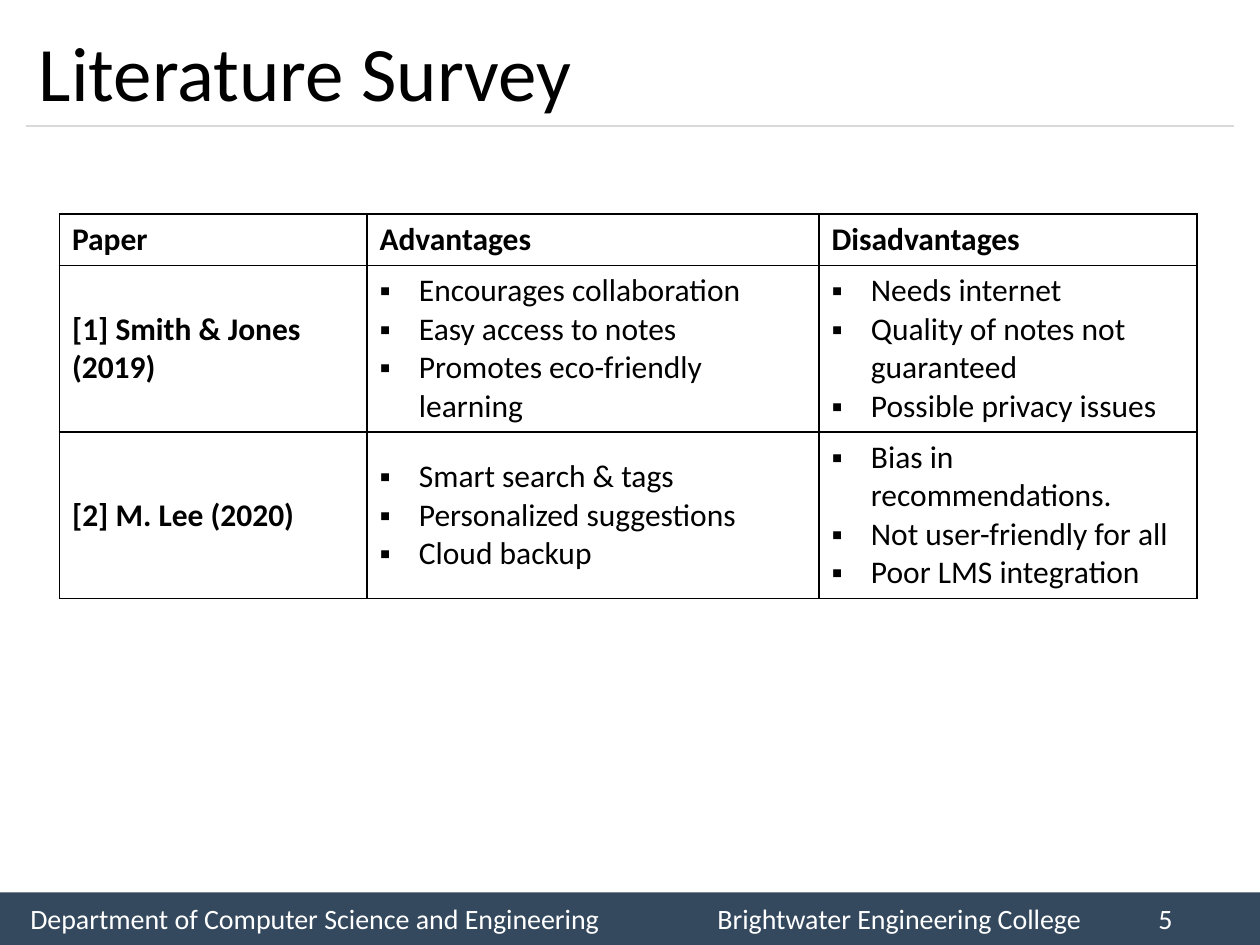
from lxml.etree import SubElement
from pptx import Presentation
from pptx.dml.color import RGBColor
from pptx.enum.shapes import MSO_CONNECTOR, MSO_SHAPE
from pptx.enum.text import MSO_ANCHOR, PP_ALIGN
from pptx.oxml import parse_xml
from pptx.oxml.ns import nsdecls, qn
from pptx.util import Pt

COLORS = {"text": "000000", "bar": "34495E", "bar_text": "FFFFFF", "rule": "D9D9D9"}
FONT = "Calibri"


def add_text(p, text, size, color, bold=False):
    r = p.add_run()
    r.text = text
    r.font.name = FONT
    r.font.size = Pt(size)
    r.font.bold = bold
    r.font.color.rgb = RGBColor.from_string(COLORS[color])


def set_indent(p, left, first):
    pPr = p._p.get_or_add_pPr()
    pPr.set("marL", str(Pt(left)))
    pPr.set("indent", str(Pt(first)))
    return pPr


prs = Presentation()
prs.slide_width, prs.slide_height = Pt(720), Pt(540)
s = prs.slides.add_slide(prs.slide_layouts[5])

footers = ["Department of Computer Science and Engineering",
           "Brightwater Engineering College \t\t5"]
for i, text in enumerate(footers):
    bar = s.shapes.add_shape(MSO_SHAPE.RECTANGLE, Pt(360 * i), Pt(510), Pt(360), Pt(30))
    bar.shadow.inherit = False
    bar.fill.solid()
    bar.fill.fore_color.rgb = RGBColor.from_string(COLORS["bar"])
    bar.line.fill.background()
    tf = bar.text_frame
    tf.word_wrap = True
    tf.vertical_anchor = MSO_ANCHOR.MIDDLE
    p = tf.paragraphs[0]
    p.alignment = PP_ALIGN.CENTER
    set_indent(p, 0, -27)
    add_text(p, text, 16, "bar_text")

rule = s.shapes.add_connector(MSO_CONNECTOR.STRAIGHT, Pt(15), Pt(72), Pt(705), Pt(72))
rule.line.color.rgb = RGBColor.from_string(COLORS["rule"])
rule.line.width = Pt(0.75)
SubElement(rule._element.spPr, qn("a:effectLst"))

title = s.shapes.title
title.left, title.top, title.width, title.height = Pt(15), Pt(9), Pt(690), Pt(63)
title.text_frame.vertical_anchor = MSO_ANCHOR.MIDDLE
p = title.text_frame.paragraphs[0]
p.alignment = PP_ALIGN.LEFT
add_text(p, "Literature Survey", 44, "text")

rows = [
    ["Paper", "Advantages", "Disadvantages"],
    ["[1] Smith & Jones (2019)",
     ["Encourages collaboration", "Easy access to notes", "Promotes eco-friendly learning"],
     ["Needs internet", "Quality of notes not guaranteed", "Possible privacy issues"]],
    ["[2] M. Lee (2020)",
     ["Smart search & tags", "Personalized suggestions", "Cloud backup"],
     ["Bias in recommendations.", "Not user-friendly for all", "Poor LMS integration"]],
]
widths = [175.7, 258.3, 216]
heights = [29.2, 95.3, 95.3]
table = s.shapes.add_table(3, 3, Pt(34), Pt(122.4), Pt(sum(widths)), Pt(sum(heights))).table
table.first_row = table.horz_banding = False
for col, width in zip(table.columns, widths):
    col.width = Pt(width)

for i, row in enumerate(rows):
    table.rows[i].height = Pt(heights[i])
    for j, content in enumerate(row):
        cell = table.cell(i, j)
        cell.vertical_anchor = MSO_ANCHOR.MIDDLE
        cell.fill.background()
        tcPr = cell._tc.get_or_add_tcPr()
        for k, side in enumerate(["lnL", "lnR", "lnT", "lnB"]):
            tcPr.insert(k, parse_xml(
                f'<a:{side} {nsdecls("a")} w="{Pt(1)}"><a:solidFill>'
                f'<a:srgbClr val="{COLORS["text"]}"/></a:solidFill></a:{side}>'))
        bulleted = isinstance(content, list)
        tf = cell.text_frame
        for k, line in enumerate(content if bulleted else [content]):
            p = tf.add_paragraph() if k else tf.paragraphs[0]
            if bulleted:
                pPr = set_indent(p, 22.5, -22.5)
                SubElement(pPr, qn("a:buFont"), typeface="Arial")
                SubElement(pPr, qn("a:buChar"), char="▪")
            add_text(p, line, 18, "text", bold=not bulleted)

prs.save("out.pptx")
